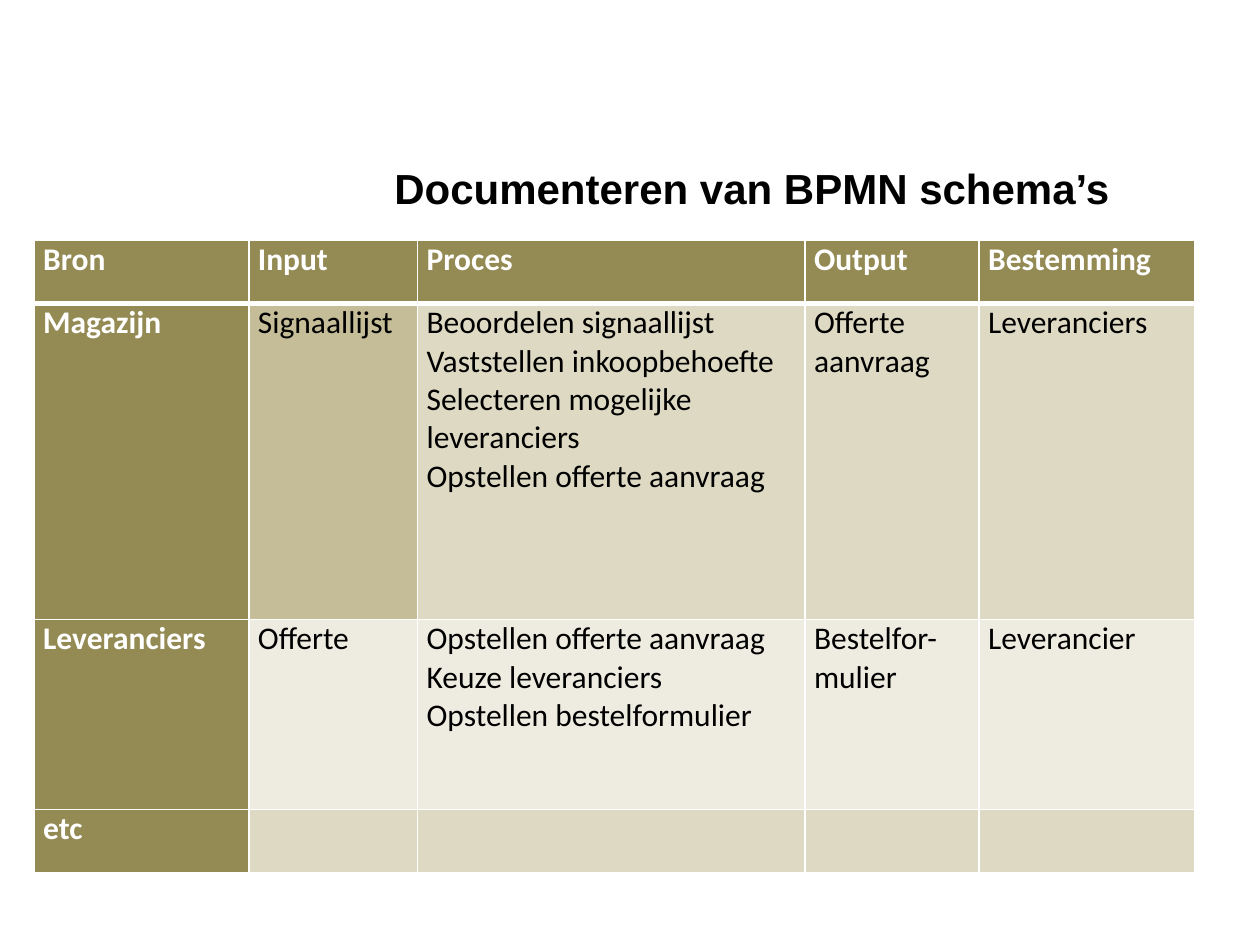
from pptx import Presentation
from pptx.dml.color import RGBColor
from pptx.enum.text import MSO_ANCHOR, PP_ALIGN
from pptx.oxml import parse_xml
from pptx.oxml.ns import nsdecls
from pptx.util import Cm, Pt

OLIVE, TAN, SAND, CREAM = "948A54", "C4BD97", "DDD9C3", "EEECE1"
WHITE, BLACK = "FFFFFF", "000000"

COLUMN_WIDTHS = [4.33, 3.4, 7.81, 3.51, 4.35]
ROW_HEIGHTS = [1.27, 6.37, 3.83, 1.27]
ROW_FILLS = [OLIVE, SAND, CREAM, SAND]
ROWS = [
    [["Bron"], ["Input"], ["Proces"], ["Output"], ["Bestemming"]],
    [["Magazijn"], ["Signaallijst"],
     ["Beoordelen signaallijst Vaststellen inkoopbehoefte",
      "Selecteren mogelijke leveranciers",
      "Opstellen offerte aanvraag"],
     ["Offerte aanvraag"], ["Leveranciers"]],
    [["Leveranciers"], ["Offerte"],
     ["Opstellen offerte aanvraag Keuze leveranciers",
      "Opstellen bestelformulier"],
     ["Bestelfor-mulier"], ["Leverancier"]],
    [["etc"], [], [], [], []],
]


def colour(value):
    """Turn a hex string into a colour."""
    return RGBColor.from_string(value)


def write(frame, lines, font, size, ink, bold):
    """Fill a text frame with one paragraph per line."""
    for index, line in enumerate(lines):
        para = frame.add_paragraph() if index else frame.paragraphs[0]
        para.alignment = PP_ALIGN.LEFT
        span = para.add_run()
        span.text = line
        span.font.name = font
        span.font.size = Pt(size)
        span.font.bold = bold
        span.font.color.rgb = colour(ink)


def set_borders(cell, top, bottom):
    """Draw white cell borders, with the given top and bottom widths in points."""
    properties = cell._tc.get_or_add_tcPr()
    for side, width in (("L", 1), ("R", 1), ("T", top), ("B", bottom)):
        properties.append(parse_xml(
            f'<a:ln{side} {nsdecls("a")} w="{Pt(width)}"><a:solidFill>'
            f'<a:srgbClr val="{WHITE}"/></a:solidFill></a:ln{side}>'))


def add_title(page, left, top, width, height):
    """Place the slide title."""
    box = page.shapes.add_textbox(Cm(left), Cm(top), Cm(width), Cm(height))
    frame = box.text_frame
    frame.word_wrap = True
    frame.vertical_anchor = MSO_ANCHOR.TOP
    frame.margin_top = Cm(0.22)
    write(frame, ["Documenteren van BPMN schema’s"], "Arial", 24, BLACK, True)


def add_process_table(page, left, top):
    """Place the table of sources, processes and destinations."""
    table = page.shapes.add_table(
        len(ROWS), len(COLUMN_WIDTHS), Cm(left), Cm(top),
        Cm(sum(COLUMN_WIDTHS)), Cm(sum(ROW_HEIGHTS))).table
    table.first_col = True
    for column, width in zip(table.columns, COLUMN_WIDTHS):
        column.width = Cm(width)
    for row, height in zip(table.rows, ROW_HEIGHTS):
        row.height = Cm(height)
    for row, texts in enumerate(ROWS):
        for column, lines in enumerate(texts):
            cell = table.cell(row, column)
            heading = row == 0 or column == 0
            cell.margin_left = cell.margin_right = Cm(0.18)
            cell.margin_top = cell.margin_bottom = 0
            set_borders(cell, 3 if row == 1 else 1, 3 if row == 0 else 1)
            cell.fill.solid()
            cell.fill.fore_color.rgb = colour(OLIVE if heading else ROW_FILLS[row])
            write(cell.text_frame, lines, "Calibri", 18,
                  WHITE if heading else BLACK, heading)
    table.cell(1, 1).fill.fore_color.rgb = colour(TAN)


def main():
    """Build the slide and save it."""
    deck = Presentation()
    deck.slide_width, deck.slide_height = Cm(25.4), Cm(19.05)
    page = deck.slides.add_slide(deck.slide_layouts[6])
    add_title(page, 7.7, 3.05, 17.7, 1.8)
    add_process_table(page, 0.69, 4.85)
    deck.save("out.pptx")


if __name__ == "__main__":
    main()
